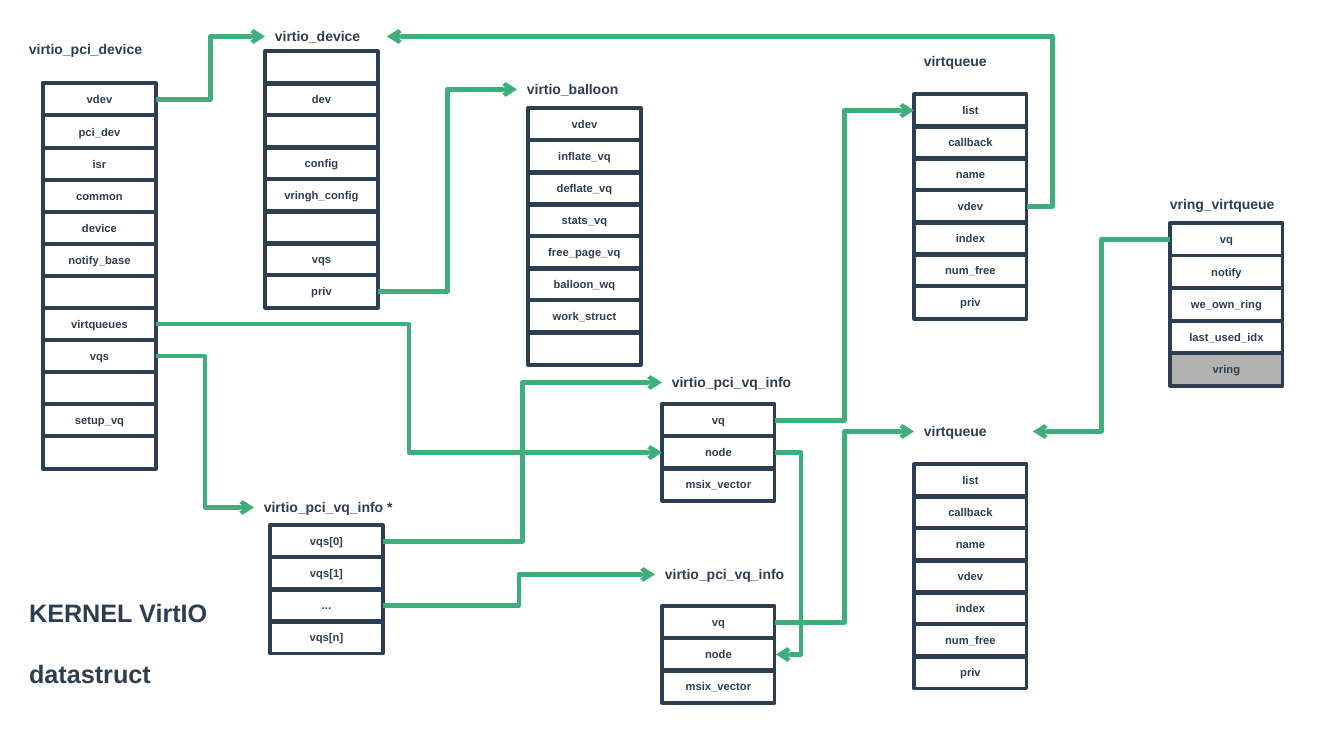
from dataclasses import dataclass

from pptx import Presentation
from pptx.dml.color import RGBColor
from pptx.enum.shapes import MSO_CONNECTOR as Connector, MSO_SHAPE as Preset
from pptx.enum.text import MSO_ANCHOR as Anchor, MSO_AUTO_SIZE as AutoSize, PP_ALIGN as Align
from pptx.oxml.ns import qn
from pptx.util import Inches, Pt
from lxml.etree import SubElement


@dataclass(frozen=True)
class Theme:
    font: str = "Arial"
    ink: RGBColor = RGBColor(0x2C, 0x3E, 0x50)
    arrow: RGBColor = RGBColor(0x3E, 0xAF, 0x7C)
    shade: RGBColor = RGBColor(0xB2, 0xB2, 0xB2)
    heading: int = 18
    name: int = 10
    field: int = 8
    border: float = 2.25
    arrow_width: int = 3


THEME = Theme()
PIXELS_PER_INCH = 100.8
ROW_WIDTH, ROW_HEIGHT, NAME_HEIGHT = 113, 33, 27
LEFT, RIGHT = 1, 3  # connection sites of a rectangle


def px(pixels):
    return Inches(pixels / PIXELS_PER_INCH)


def write(shape, text, size, align=Align.LEFT, anchor=Anchor.TOP, wrap=True, gap=0):
    frame = shape.text_frame
    frame.word_wrap = wrap
    frame.auto_size = AutoSize.NONE
    frame.vertical_anchor = anchor
    for index, line in enumerate(text.split("\n")):
        paragraph = frame.add_paragraph() if index else frame.paragraphs[0]
        paragraph.alignment = align
        paragraph.line_spacing = 1.0
        paragraph.space_before = Pt(gap if index else 0)
        run = paragraph.add_run()
        run.text = line
        run.font.name = THEME.font
        run.font.size = Pt(size)
        run.font.bold = True
        run.font.color.rgb = THEME.ink


def add_heading(slide, box, text):
    title = slide.shapes.title
    title.left, title.top, title.width, title.height = map(px, box)
    write(title, text, THEME.heading, wrap=False, gap=22)


def add_struct(slide, box, name, name_offset, name_width, fields, shaded=()):
    """Stack the fields evenly in the box; return the name and cells by field."""
    left, top, width, height = box
    offset_x, offset_y = name_offset
    label = slide.shapes.add_textbox(px(left + offset_x), px(top + offset_y),
                                     px(name_width), px(NAME_HEIGHT))
    write(label, name, THEME.name)
    parts = {"name": label}
    pitch = (height - ROW_HEIGHT) / (len(fields) - 1)
    for row, field in enumerate(fields):
        cell = slide.shapes.add_shape(Preset.RECTANGLE, px(left), px(top + row * pitch),
                                      px(width), px(ROW_HEIGHT))
        cell.shadow.inherit = False
        cell.line.color.rgb = THEME.ink
        cell.line.width = Pt(THEME.border)
        if field in shaded:
            cell.fill.solid()
            cell.fill.fore_color.rgb = THEME.shade
        else:
            cell.fill.background()
        if field:
            write(cell, field, THEME.field, Align.CENTER, Anchor.MIDDLE)
            parts["." + field] = cell
    return parts


def add_arrow(slide, source, source_site, target, target_site, bend=0.5):
    """Join two parts; bend is the turn's place as a share of the width."""
    connector = slide.shapes.add_connector(Connector.ELBOW, 0, 0, 0, 0)
    connector.begin_connect(source, source_site)
    connector.end_connect(target, target_site)
    if connector.width == 0:  # the bend needs a width to be measured by
        connector.end_x += px(1)
    connector.line.color.rgb = THEME.arrow
    connector.line.width = Pt(THEME.arrow_width)
    SubElement(connector.line._get_or_add_ln(), qn("a:tailEnd"), type="arrow")
    properties = connector._element.spPr
    SubElement(properties, qn("a:effectLst"))
    adjustments = properties.find(qn("a:prstGeom")).get_or_add_avLst()
    SubElement(adjustments, qn("a:gd"), name="adj1", fmla=f"val {round(bend * 100000)}")


QUEUE_FIELDS = ["list", "callback", "name", "vdev", "index", "num_free", "priv"]
INFO_FIELDS = ["vq", "node", "msix_vector"]

# key: left, top, height, name, name offset, name width, fields
STRUCTS = {
    "pci": (43, 83, 386, "virtio_pci_device", (-24, -47), 162,
            ["vdev", "pci_dev", "isr", "common", "device", "notify_base", "",
             "virtqueues", "vqs", "", "setup_vq", ""]),
    "device": (265, 51, 257, "virtio_device", (0, -28), 122,
               ["", "dev", "", "config", "vringh_config", "", "vqs", "priv"]),
    "balloon": (528, 108, 257, "virtio_balloon", (-11, -32), 280,
                ["vdev", "inflate_vq", "deflate_vq", "stats_vq", "free_page_vq",
                 "balloon_wq", "work_struct", ""]),
    "queue_a": (914, 94, 225, "virtqueue", (0, -46), 280, QUEUE_FIELDS),
    "queue_b": (914, 464, 225, "virtqueue", (0, -46), 119, QUEUE_FIELDS),
    "pointers": (270, 525, 129, "virtio_pci_vq_info *", (-16, -31), 172,
                 ["vqs[0]", "vqs[1]", "...", "vqs[n]"]),
    "info_a": (662, 404, 97, "virtio_pci_vq_info", (0, -35), 170, INFO_FIELDS),
    "info_b": (662, 606, 97, "virtio_pci_vq_info", (-7, -45), 170, INFO_FIELDS),
    "vring": (1170, 223, 163, "vring_virtqueue", (-10, -32), 157,
              ["vq", "notify", "we_own_ring", "last_used_idx", "vring"]),
}

# source struct and field, side, target struct and part, side, bend
ARROWS = [
    ("pci", ".vdev", RIGHT, "device", "name", LEFT, 0.5),
    ("pci", ".vqs", RIGHT, "pointers", "name", LEFT, 0.5),
    ("pci", ".virtqueues", RIGHT, "info_a", ".node", LEFT, 0.5),
    ("info_a", ".node", RIGHT, "info_b", ".node", RIGHT, 26),
    ("pointers", ".vqs[0]", RIGHT, "info_a", "name", LEFT, 0.5),
    ("pointers", "....", RIGHT, "info_b", "name", LEFT, 0.5),
    ("info_a", ".vq", RIGHT, "queue_a", ".list", LEFT, 0.5),
    ("info_b", ".vq", RIGHT, "queue_b", "name", LEFT, 0.5),
    ("device", ".priv", RIGHT, "balloon", "name", LEFT, 0.5),
    ("queue_a", ".vdev", RIGHT, "device", "name", RIGHT, -0.04),
    ("vring", ".vq", LEFT, "queue_b", "name", RIGHT, 0.5),
]

presentation = Presentation()
presentation.slide_width, presentation.slide_height = px(1344), px(756)
slide = presentation.slides.add_slide(presentation.slide_layouts[5])

# Heading
add_heading(slide, (19, 592, 223, 102), "KERNEL VirtIO\ndatastruct")

# Structures
parts = {
    key: add_struct(slide, (left, top, ROW_WIDTH, height), name, offset, name_width,
                    fields, shaded=["vring"])
    for key, (left, top, height, name, offset, name_width, fields) in STRUCTS.items()
}

# Pointers between structures
for source, field, source_site, target, part, target_site, bend in ARROWS:
    add_arrow(slide, parts[source][field], source_site,
              parts[target][part], target_site, bend)

presentation.save("out.pptx")
